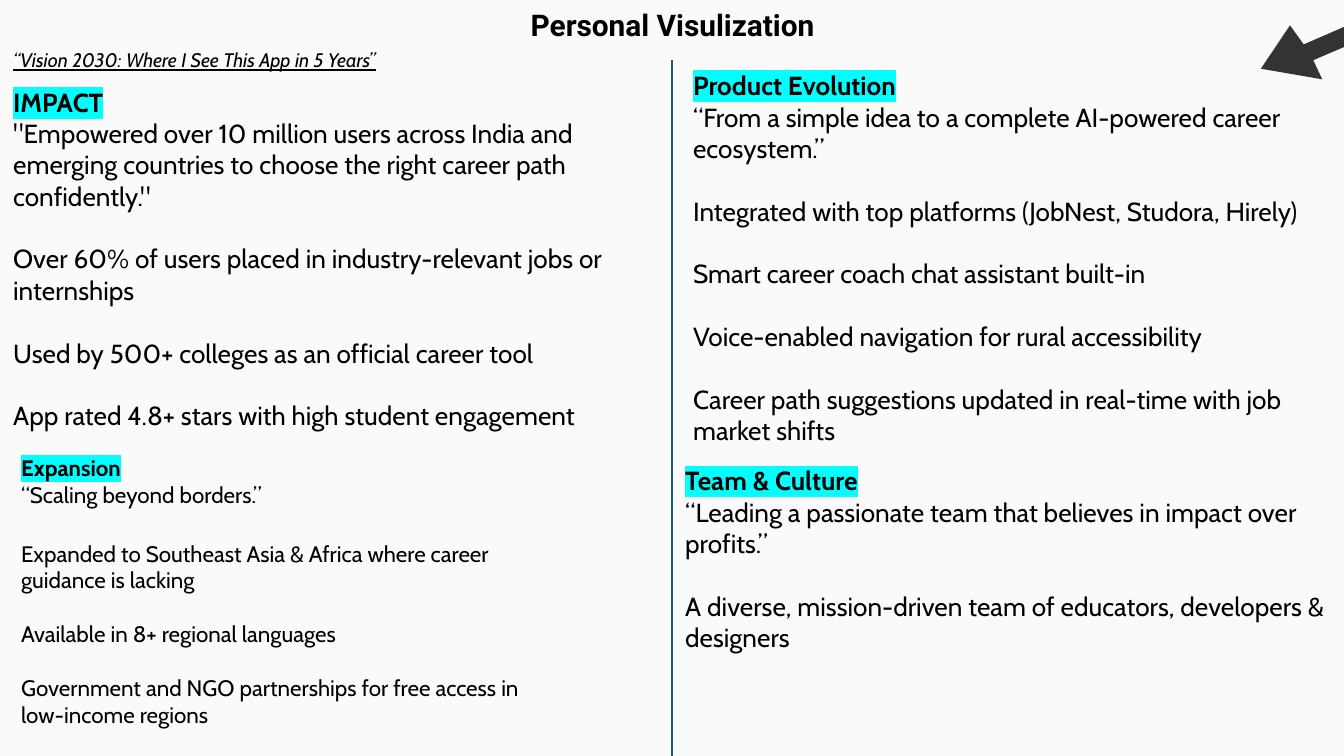
"""Build the Personal Visulization slide."""
from lxml.etree import SubElement as Sub
from pptx import Presentation
from pptx.dml.color import RGBColor as Rgb
from pptx.enum.shapes import MSO_CONNECTOR as Kind
from pptx.oxml.ns import qn
from pptx.util import Cm, Pt

HUES = {"back": "FAFAFA", "ink": "000000", "mark": "00FFFF", "rule": "156082", "arrow": "333333"}
SIZE = (25.4, 14.29)
RULE = (12.7, 1.14, 12.7, SIZE[1])
ARROW = [(24.99, 1.5), (24.82, 1.14), (25.4, 0.89), (25.4, 0.51),
         (24.64, 0.84), (24.38, 0.48), (23.83, 1.3)]
HEADS = [
    {"box": (0, 0.79, 13.36, 0.71), "lines": ["“Vision 2030: Where I See This App in 5 Years”"],
     "size": 10.5, "slant": True, "under": True},
    {"box": (9.78, 0, 7.16, 0.94), "lines": ["Personal Visulization"],
     "size": 16, "face": "Roboto", "bold": True},
]
PARTS = [
    {"box": (0, 1.5, 12.98, 7.62), "lines": [
        "IMPACT",
        "\"Empowered over 10 million users across India and emerging countries "
        "to choose the right career path confidently.\"",
        "Over 60% of users placed in industry-relevant jobs or internships",
        "Used by 500+ colleges as an official career tool",
        "App rated 4.8+ stars with high student engagement"]},
    {"box": (12.85, 1.19, 12.98, 8.74), "lines": [
        "Product Evolution",
        "“From a simple idea to a complete AI-powered career ecosystem.”",
        "Integrated with top platforms (JobNest, Studora, Hirely)",
        "Smart career coach chat assistant built-in",
        "Voice-enabled navigation for rural accessibility",
        "Career path suggestions updated in real-time with job market shifts"]},
    {"box": (0.15, 8.46, 9.98, 5.46), "size": 12, "first": 17, "lines": [
        "Expansion",
        "“Scaling beyond borders.”",
        "Expanded to Southeast Asia & Africa where career guidance is lacking",
        "Available in 8+ regional languages",
        "Government and NGO partnerships for free access in low-income regions"]},
    {"box": (12.7, 8.66, 13, 5.05), "lines": [
        "Team & Culture",
        "“Leading a passionate team that believes in impact over profits.”",
        "A diverse, mission-driven team of educators, developers & designers"]},
]


def hue(name):
    return Rgb.from_string(HUES[name])


def mark(run):
    fill = run.font._element.find(qn("a:solidFill"))
    glow = Sub(run.font._element, qn("a:highlight"))
    Sub(glow, qn("a:srgbClr"), val=HUES["mark"])
    fill.addnext(glow)


def write(slide, lines, box, size=14, face="Cabin", bold=False, slant=False,
          under=False, topic=False, first=None):
    frame = slide.shapes.add_textbox(*map(Cm, box)).text_frame
    frame.word_wrap = True
    for i, line in enumerate(lines):
        para = frame.paragraphs[0] if i == 0 else frame.add_paragraph()
        if i > 1:
            para.space_before = Pt(first if first and i == 2 else size * 1.2)
        run = para.add_run()
        run.text = line
        font = run.font
        font.size, font.name = Pt(size), face
        font.bold = bold or (topic and i == 0)
        font.italic, font.underline = slant, under
        font.color.rgb = hue("ink")
        if topic and i == 0:
            mark(run)


def draw(slide):
    pen = slide.shapes.build_freeform(*map(Cm, ARROW[0]))
    pen.add_line_segments([(Cm(x), Cm(y)) for x, y in ARROW[1:]], close=True)
    arrow = pen.convert_to_shape()
    arrow.shadow.inherit = False
    arrow.fill.solid()
    arrow.fill.fore_color.rgb = hue("arrow")
    arrow.line.fill.background()
    rule = slide.shapes.add_connector(Kind.STRAIGHT, *map(Cm, RULE))
    rule.line.color.rgb = hue("rule")
    rule.line.width = Pt(1.5)
    Sub(rule._element.spPr, qn("a:effectLst"))


def main():
    deck = Presentation()
    deck.slide_width, deck.slide_height = map(Cm, SIZE)
    slide = deck.slides.add_slide(deck.slide_layouts[6])
    slide.background.fill.solid()
    slide.background.fill.fore_color.rgb = hue("back")
    draw(slide)
    for head in HEADS:
        write(slide, **head)
    for part in PARTS:
        write(slide, topic=True, **part)
    deck.save("out.pptx")


if __name__ == "__main__":
    main()
